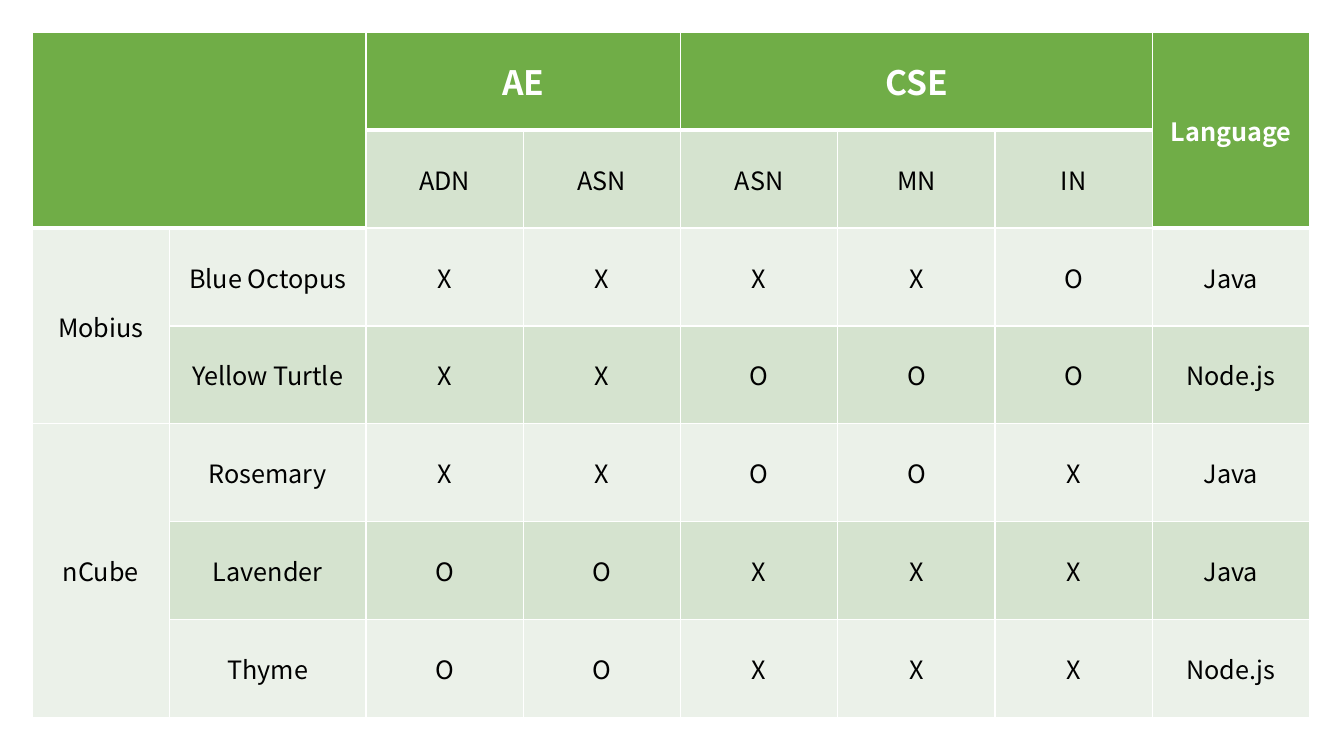
from lxml.etree import SubElement
from pptx import Presentation
from pptx.dml.color import RGBColor as RGB
from pptx.enum.text import MSO_ANCHOR as Anchor, PP_ALIGN as Align
from pptx.oxml.ns import qn
from pptx.util import Inches, Pt

GREEN = RGB(0x70, 0xAD, 0x47)
MID_GREEN = RGB(0xD5, 0xE3, 0xCF)
PALE_GREEN = RGB(0xEB, 0xF1, 0xE9)
WHITE = RGB(0xFF, 0xFF, 0xFF)
BLACK = RGB(0x00, 0x00, 0x00)
FONT = "Noto Sans CJK KR"

# Table content; an empty string is covered by a merged cell
ROWS = [
    ["", "", "AE", "", "CSE", "", "", "Language"],
    ["", "", "ADN", "ASN", "ASN", "MN", "IN", ""],
    ["Mobius", "Blue Octopus", "X", "X", "X", "X", "O", "Java"],
    ["", "Yellow Turtle", "X", "X", "O", "O", "O", "Node.js"],
    ["nCube", "Rosemary", "X", "X", "O", "O", "X", "Java"],
    ["", "Lavender", "O", "O", "X", "X", "X", "Java"],
    ["", "Thyme", "O", "O", "X", "X", "X", "Node.js"],
]
# (row, column): (rows spanned, columns spanned)
SPANS = {(0, 0): (2, 2), (0, 2): (1, 2), (0, 4): (1, 3), (0, 7): (2, 1),
         (2, 0): (2, 1), (4, 0): (3, 1)}
COL_WIDTHS = [1.36, 1.95] + [1.56] * 6
MARGIN, TABLE_HEIGHT = 0.32, 6.8


def put_text(tf, text, size=18, color=BLACK, bold=False, align=Align.CENTER):
    p = tf.paragraphs[0]
    p.alignment = align
    r = p.add_run()
    r.text = text
    r.font.name, r.font.size, r.font.bold = FONT, Pt(size), bold
    r.font.color.rgb = color
    for tag in ("a:ea", "a:cs"):
        SubElement(r.font._element, qn(tag), typeface=FONT)


class SlideBuilder:
    def __init__(self, prs):
        self.slide = prs.slides.add_slide(prs.slide_layouts[6])

    def table(self, rows, spans, left, top, widths, height):
        frame = self.slide.shapes.add_table(
            len(rows), len(widths), Inches(left), Inches(top),
            Inches(sum(widths)), Inches(height))
        tbl = frame.table
        tbl.first_row = tbl.horz_banding = False
        for col, width in zip(tbl.columns, widths):
            col.width = Inches(width)
        for row in tbl.rows:
            row.height = Inches(height / len(rows))
        for (r, c), (high, wide) in spans.items():
            tbl.cell(r, c).merge(tbl.cell(r + high - 1, c + wide - 1))
        return tbl

    def borders(self, cell, top=1, bottom=1):
        tc_pr = cell._tc.get_or_add_tcPr()
        for side, width in zip("LRTB", (1, 1, top, bottom)):
            ln = SubElement(tc_pr, qn(f"a:ln{side}"), w=str(Pt(width)))
            fill = SubElement(ln, qn("a:solidFill"))
            SubElement(fill, qn("a:srgbClr"), val=str(WHITE))

    def cell(self, cell, text, fill, **fmt):
        cell.fill.solid()
        cell.fill.fore_color.rgb = fill
        cell.vertical_anchor = Anchor.MIDDLE
        if text:
            put_text(cell.text_frame, text, **fmt)


def main():
    prs = Presentation()
    prs.slide_width, prs.slide_height = Inches(13.33), Inches(7.5)
    s = SlideBuilder(prs)
    tbl = s.table(ROWS, SPANS, MARGIN, MARGIN, COL_WIDTHS, TABLE_HEIGHT)

    # The green header is two rows deep, except above the node types
    header_depth = [1 if 2 <= c <= 6 else 2 for c in range(len(COL_WIDTHS))]
    for r, row in enumerate(ROWS):
        for c, text in enumerate(row):
            cell, depth = tbl.cell(r, c), header_depth[c]
            last_row = r + SPANS.get((r, c), (1, 1))[0]
            s.borders(cell, top=3 if r == depth else 1,
                      bottom=3 if last_row == depth else 1)
            if r < depth:
                s.cell(cell, text, GREEN, size=24 if depth == 1 else 18,
                       color=WHITE, bold=True)
            else:
                banded = r % 2 and c > 0
                s.cell(cell, text, MID_GREEN if banded else PALE_GREEN)

    prs.save("out.pptx")


if __name__ == "__main__":
    main()
